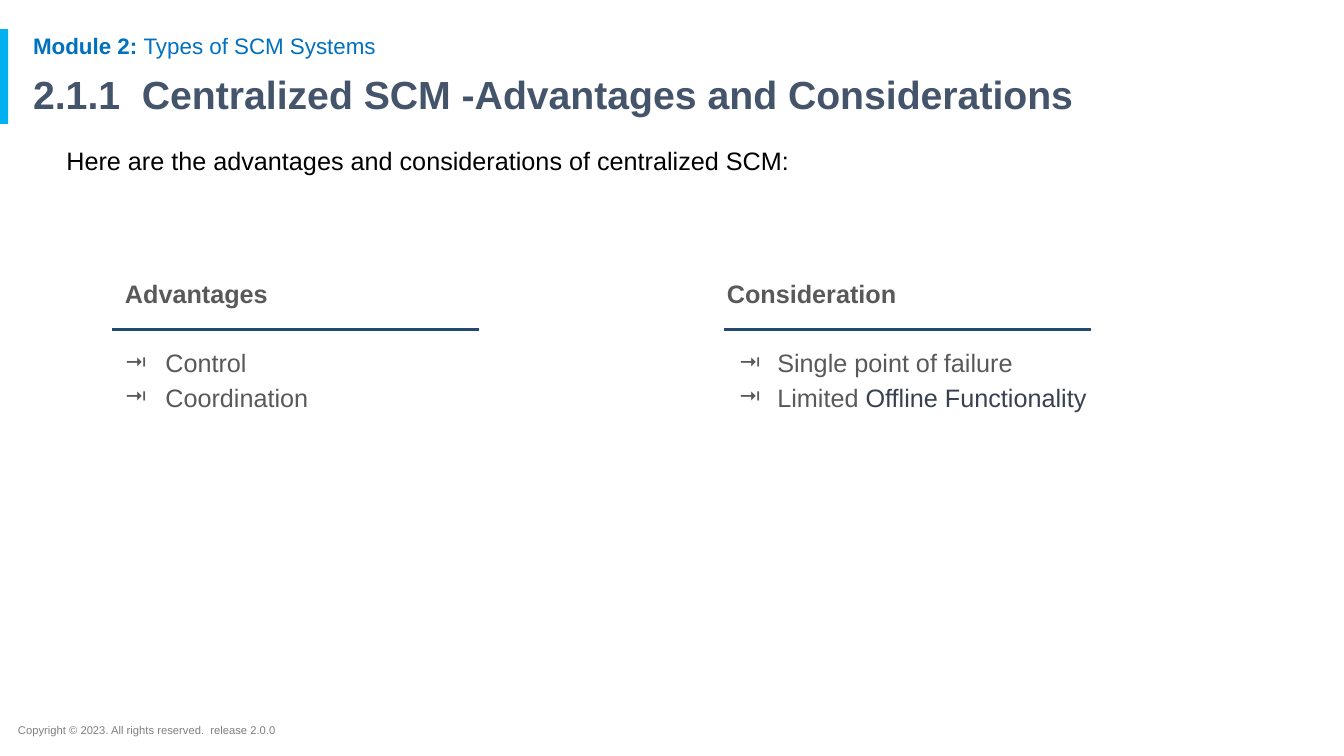
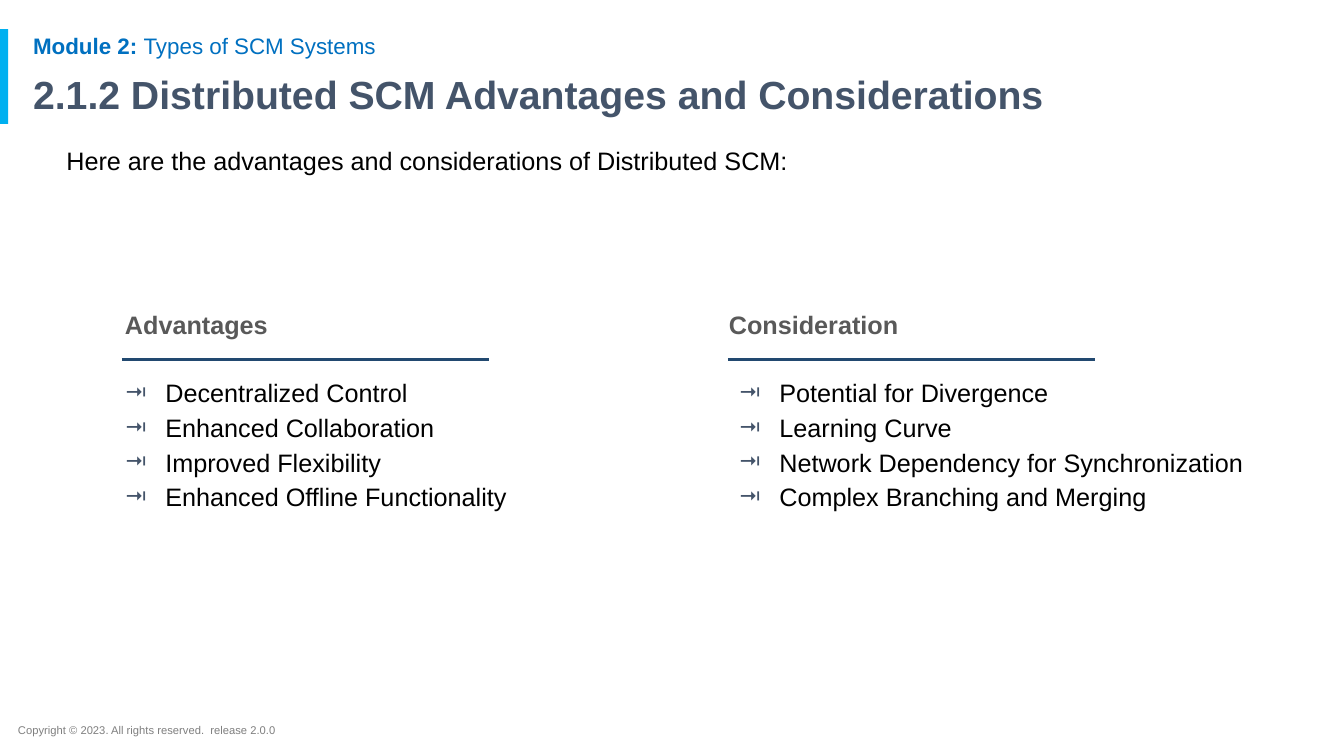
from dataclasses import dataclass

from lxml import etree
from pptx import Presentation
from pptx.dml.color import RGBColor
from pptx.enum.shapes import MSO_CONNECTOR, MSO_SHAPE
from pptx.enum.text import MSO_ANCHOR
from pptx.oxml.ns import qn
from pptx.util import Inches, Pt

RECT = MSO_SHAPE.RECTANGLE
STRAIGHT = MSO_CONNECTOR.STRAIGHT
TOP, MIDDLE = MSO_ANCHOR.TOP, MSO_ANCHOR.MIDDLE


@dataclass(frozen=True)
class Theme:
    font: str = "Arial"
    # Colours
    accent: str = "00B0F0"
    module: str = "0070C0"
    title: str = "44546A"
    rule: str = "224970"
    gray: str = "595959"
    slate: str = "374151"
    black: str = "000000"
    footer: str = "7F7F7F"
    # Type sizes and line width in points
    title_size: int = 28
    module_size: int = 16
    body_size: int = 18
    footer_size: int = 8
    rule_width: float = 2.25


THEME = Theme()


def grid(n):
    """Columns and rows are a tenth of an inch each."""
    return Inches(n / 10)


def color(code):
    return RGBColor.from_string(code)


def add_text(p, text, size=THEME.body_size, fill=THEME.black, bold=False):
    r = p.add_run()
    r.text = text
    r.font.name = THEME.font
    r.font.size = Pt(size)
    r.font.bold = bold
    r.font.color.rgb = color(fill)


class Deck:
    FOOTER = "Copyright © 2023. All rights reserved.  release 2.0.0"
    MODULE = ("Module 2: ", "Types of SCM Systems")
    HEADING_RISE = 6.8    # rows from heading box down to its rule
    RULE_LENGTH = 36.4
    PADDING = 1.3

    def __init__(self):
        self.prs = Presentation()
        self.prs.slide_width, self.prs.slide_height = Inches(13.33), Inches(7.5)
        self.s = None

    # Basic elements
    def text_box(self, x, y, w, h, inset=(1, 0.5), anchor=TOP):
        tf = self.s.shapes.add_textbox(*map(grid, (x, y, w, h))).text_frame
        tf.word_wrap = True
        tf.vertical_anchor = anchor
        tf.margin_left = tf.margin_right = grid(inset[0])
        tf.margin_top = tf.margin_bottom = grid(inset[1])
        return tf

    def line_box(self, x, y, w, h, *runs, spacing=0.9, after=0, **box):
        p = self.text_box(x, y, w, h, **box).paragraphs[0]
        p.line_spacing = spacing
        p.space_after = Pt(after)
        for text, style in runs:
            add_text(p, text, **style)

    def rule(self, x, y):
        sp = self.s.shapes.add_connector(
            STRAIGHT, *map(grid, (x, y, x + self.RULE_LENGTH, y)))
        sp.line.color.rgb = color(THEME.rule)
        sp.line.width = Pt(THEME.rule_width)
        etree.SubElement(sp._element.spPr, qn("a:effectLst"))

    def bullet(self, p, indent, fill):
        pPr = p._p.get_or_add_pPr()
        pPr.set("marL", str(grid(indent)))
        pPr.set("indent", str(-grid(indent)))
        bu_color = etree.SubElement(pPr, qn("a:buClr"))
        etree.SubElement(bu_color, qn("a:srgbClr"), val=fill)
        etree.SubElement(pPr, qn("a:buFont"), typeface=THEME.font)
        etree.SubElement(pPr, qn("a:buChar"), char="⭲")

    # Frame shared by all slides
    def new_slide(self, title, intro):
        self.s = self.prs.slides.add_slide(self.prs.slide_layouts[6])
        sp = self.s.shapes.add_shape(RECT, *map(grid, (0, 2.9, 0.8, 9.4)))
        sp.shadow.inherit = False
        sp.fill.solid()
        sp.fill.fore_color.rgb = color(THEME.accent)
        sp.line.fill.background()
        self.line_box(0.8, 71.2, 71.3, 2.4,
                      (self.FOOTER, dict(size=THEME.footer_size, fill=THEME.footer)),
                      spacing=1.0, anchor=MIDDLE)
        module = dict(size=THEME.module_size, fill=THEME.module)
        label, name = self.MODULE
        self.line_box(2.3, 3, 115, 3.3, (label, dict(module, bold=True)),
                      (name, module), anchor=MIDDLE)
        self.line_box(2.3, 6.9, 115, 5.4,
                      (title, dict(size=THEME.title_size, fill=THEME.title, bold=True)),
                      anchor=MIDDLE)
        self.line_box(5.6, 14.3, 112.4, 52.9, (intro, {}))

    # Heading, rule and bulleted list
    def column(self, y, heading, items, list_x, head_x, rule_x,
               indent=4, fill=THEME.black, mark=THEME.title):
        inset = (self.PADDING, self.PADDING)
        self.rule(rule_x, y)
        tf = self.text_box(list_x, y, 58.9, 5.9 + 3.5 * len(items), inset=inset)
        for i, runs in enumerate(items):
            p = tf.add_paragraph() if i else tf.paragraphs[0]
            p.line_spacing = 1.15
            self.bullet(p, indent, mark)
            for text, style in runs:
                add_text(p, text, **{"fill": fill, **style})
        self.line_box(head_x, y - self.HEADING_RISE, 43.7, 8.4,
                      (heading, dict(fill=THEME.gray, bold=True)),
                      spacing=1.15, after=16, inset=inset)


def plain(*texts):
    return [[(text, {})] for text in texts]


def main():
    deck = Deck()
    left, right = 11.1, 72

    # Centralized SCM
    deck.new_slide("2.1.1  Centralized SCM -Advantages and Considerations",
                   "Here are the advantages and considerations of centralized SCM:")
    gray = dict(fill=THEME.gray, mark=THEME.gray)
    deck.column(32.7, "Advantages", plain("Control", "Coordination"),
                left, head_x=left, rule_x=left, **gray)
    limits = plain("Single point of failure", "Limited ")
    limits[-1].append(("Offline Functionality", dict(fill=THEME.slate)))
    deck.column(32.7, "Consideration", limits,
                right, head_x=70.8, rule_x=71.8, indent=3.8, **gray)

    # Distributed SCM
    deck.new_slide("2.1.2 Distributed SCM Advantages and Considerations",
                   "Here are the advantages and considerations of Distributed SCM:")
    deck.column(35.7, "Advantages",
                plain("Decentralized Control", "Enhanced Collaboration",
                      "Improved Flexibility", "Enhanced Offline Functionality"),
                left, head_x=left, rule_x=12.1)
    deck.column(35.7, "Consideration",
                plain("Potential for Divergence", "Learning Curve",
                      "Network Dependency for Synchronization",
                      "Complex Branching and Merging"),
                right, head_x=71, rule_x=72.2)

    deck.prs.save("out.pptx")


if __name__ == "__main__":
    main()
